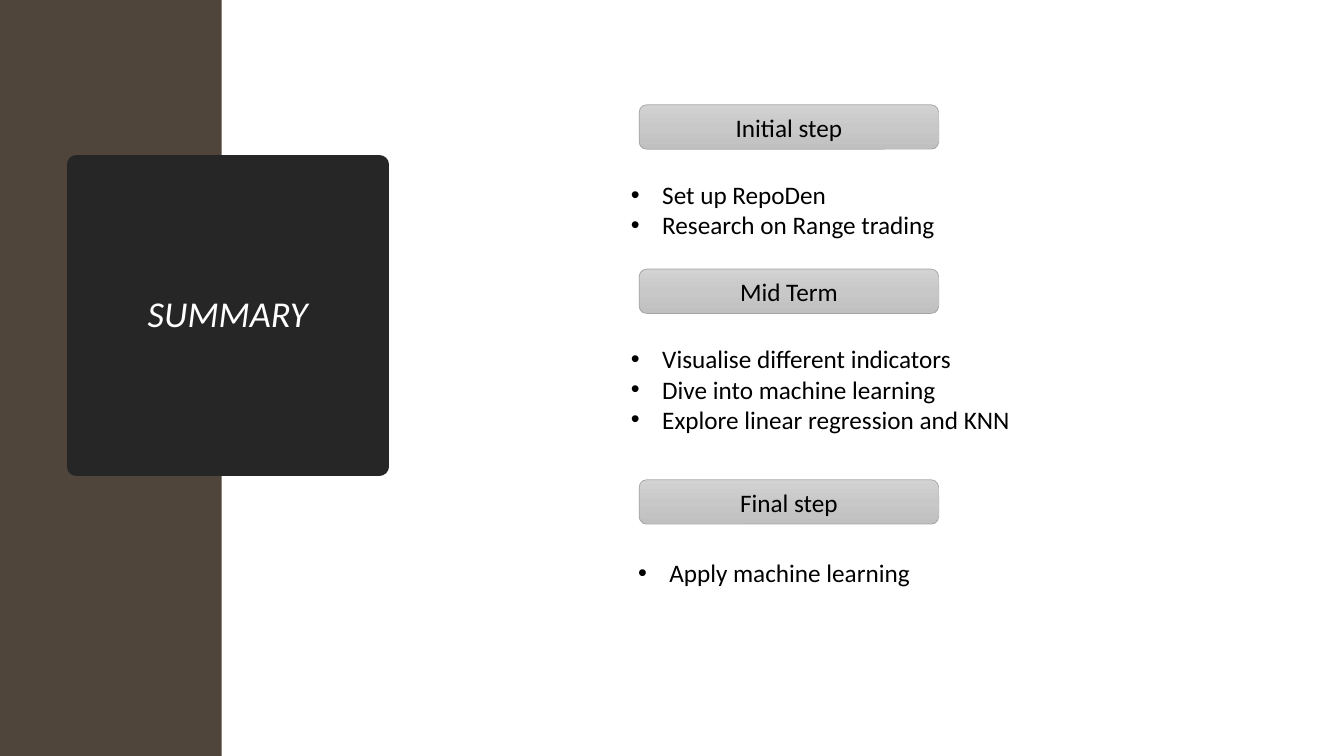
from lxml import etree
from copy import deepcopy
from pptx import Presentation
from pptx.dml.color import RGBColor
from pptx.enum.shapes import MSO_SHAPE
from pptx.enum.text import MSO_ANCHOR, MSO_AUTO_SIZE, PP_ALIGN
from pptx.oxml.ns import qn
from pptx.util import Inches, Pt

RECTANGLE = MSO_SHAPE.RECTANGLE
ROUNDED = MSO_SHAPE.ROUNDED_RECTANGLE
MIDDLE = MSO_ANCHOR.MIDDLE
FIT_SHAPE = MSO_AUTO_SIZE.SHAPE_TO_FIT_TEXT
LEFT, CENTER = PP_ALIGN.LEFT, PP_ALIGN.CENTER

COLORS = {
    "sidebar": "4F453A",
    "title_box": "262626",
    "white": "FFFFFF",
    "black": "000000",
    "outline": "A5A5A5",
    "gradient_top": "D2D2D2",
    "gradient_middle": "C8C8C8",
    "gradient_bottom": "C0C0C0",
}
GRADIENT = [(0, "gradient_top"), (0.5, "gradient_middle"), (1, "gradient_bottom")]

STAGES = [
    ("Initial step", 1.04, (6.16, 1.73, 3.68, 0.71),
     ["Set up RepoDen", "Research on Range trading"]),
    ("Mid Term", 2.67, (6.16, 3.36, 4.28, 1.31),
     ["Visualise different indicators", "Dive into machine learning",
      "Explore linear regression and KNN"]),
    ("Final step", 4.76, (6.23, 5.48, 4.97, 0.4),
     ["Apply machine learning"]),
]


def color(name):
    return RGBColor.from_string(COLORS[name])


def write(para, text, size=18, ink="black", italic=False, align=LEFT, bullet=False):
    para.alignment = align
    span = para.add_run()
    span.text = text
    span.font.name = "Calibri"
    span.font.size = Pt(size)
    span.font.italic = italic
    span.font.color.rgb = color(ink)
    if bullet:
        properties = para._p.get_or_add_pPr()
        properties.set("marL", str(Inches(0.31)))
        properties.set("indent", str(-Inches(0.31)))
        etree.SubElement(properties, qn("a:buFont")).set("typeface", "Arial")
        etree.SubElement(properties, qn("a:buChar")).set("char", "•")


deck = Presentation()
deck.slide_width = Inches(13.33)
deck.slide_height = Inches(7.5)
page = deck.slides.add_slide(deck.slide_layouts[5])
shapes = page.shapes

sidebar = shapes.add_shape(RECTANGLE, 0, 0, Inches(2.2), deck.slide_height)
sidebar.shadow.inherit = False
sidebar.fill.solid()
sidebar.fill.fore_color.rgb = color("sidebar")
sidebar.line.fill.background()

title = shapes.title
sidebar._element.addnext(title._element)
title.left, title.top = Inches(0.76), Inches(1.63)
title.width = title.height = Inches(3)
title.fill.solid()
title.fill.fore_color.rgb = color("title_box")
title.line.color.rgb = color("title_box")
title.line.width = Pt(13.75)
etree.SubElement(title.line._get_or_add_ln(), qn("a:round"))
title.text_frame.vertical_anchor = MIDDLE
title.text_frame.word_wrap = True
title_para = title.text_frame.paragraphs[0]
title_para.line_spacing = 0.9
title_para.space_after = Pt(10)
write(title_para, "SUMMARY", size=26, ink="white", italic=True, align=CENTER)

for heading, top, list_place, items in STAGES:
    button = shapes.add_shape(ROUNDED, Inches(6.34), Inches(top), Inches(2.97), Inches(0.44))
    button.shadow.inherit = False
    button.fill.gradient()
    button.fill.gradient_angle = 270
    first_stop = button._element.spPr.find(".//" + qn("a:gs"))
    first_stop.addnext(deepcopy(first_stop))
    for stop, (position, shade) in zip(button.fill.gradient_stops, GRADIENT):
        stop.position = position
        stop.color.rgb = color(shade)
    button.line.color.rgb = color("outline")
    button.line.width = Pt(0.5)
    button.text_frame.vertical_anchor = MIDDLE
    write(button.text_frame.paragraphs[0], heading, align=CENTER)

    box = shapes.add_textbox(*map(Inches, list_place))
    frame = box.text_frame
    frame.word_wrap = True
    frame.auto_size = FIT_SHAPE
    for number, item in enumerate(items):
        para = frame.add_paragraph() if number else frame.paragraphs[0]
        write(para, item, bullet=True)

deck.save("out.pptx")
